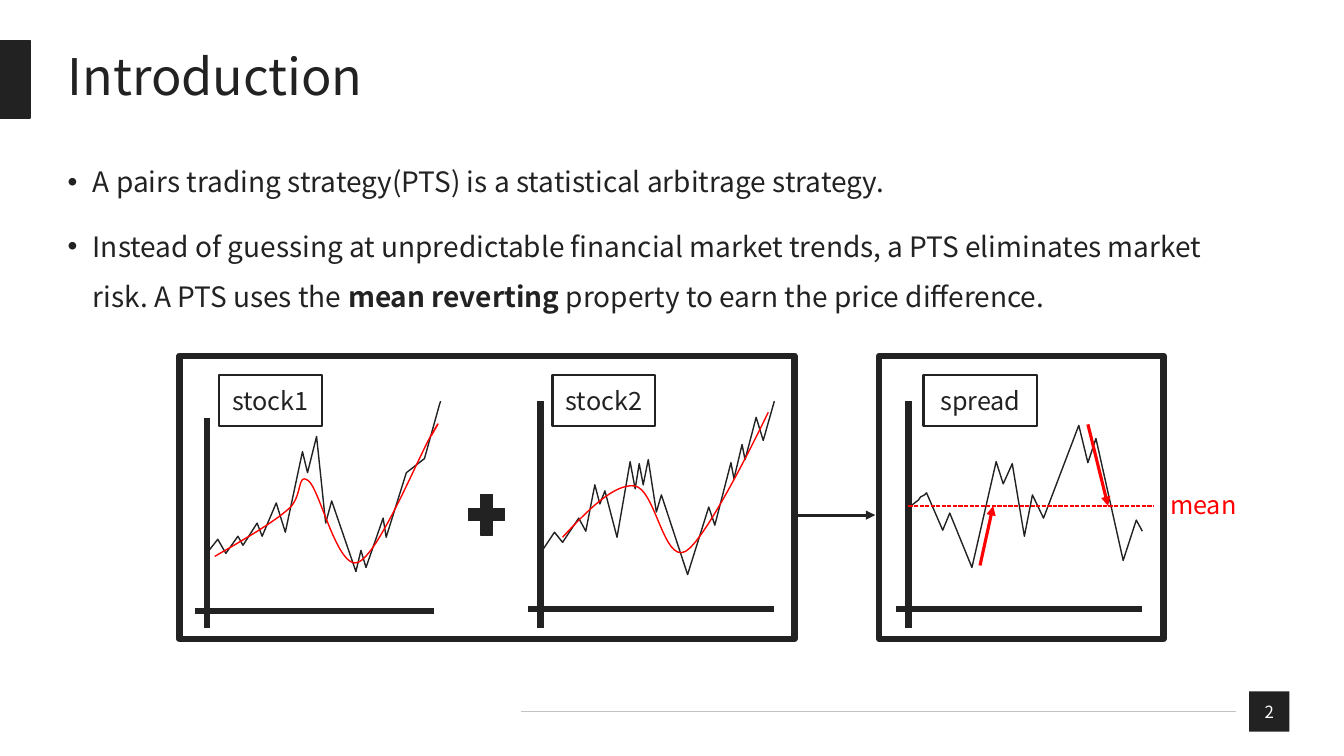
from dataclasses import dataclass

from lxml.etree import SubElement
from pptx import Presentation
from pptx.dml.color import RGBColor
from pptx.enum.dml import MSO_LINE
from pptx.enum.shapes import MSO_CONNECTOR, MSO_SHAPE as Preset
from pptx.enum.text import MSO_ANCHOR as Anchor, MSO_AUTO_SIZE as AutoSize, PP_ALIGN as Align
from pptx.oxml.ns import qn
from pptx.util import Inches, Pt

Point = tuple[int, int]
Box = tuple[int, int, int, int]  # left, top, columns wide, rows high

CELL = Inches(0.01)  # side of one grid cell: 1333 columns by 750 rows
FONT = "Noto Sans CJK TC"
INK, RED, RULE, WHITE = "222222", "FF0000", "C1C2C2", "FFFFFF"
AXIS_WIDTH, CURVE_WIDTH, ARROW_WIDTH = 4.5, 1, 2.25

BULLETS = [
    [("A pairs trading strategy(PTS) is a statistical arbitrage strategy.", False)],
    [("Instead of guessing at unpredictable financial market trends, "
      "a PTS eliminates market risk. A PTS uses the ", False),
     ("mean reverting ", True),
     ("property to earn the price difference.", False)],
]


@dataclass
class Panel:
    label: str
    label_left: int
    label_width: int
    axis_x: int
    axis_top: int
    axis_y: int
    axis_right: int
    prices: list[Point]
    trend: list[Point]  # start, then two handles and an end for each Bezier piece


@dataclass
class Stroke:
    start: Point
    end: Point
    color: str
    width: float
    arrow: bool = False
    dashed: bool = False


PANELS = [
    Panel("stock1", 217, 102, 205, 415, 606, 430,
          [(205, 549), (216, 535), (224, 549), (236, 532), (241, 541), (255, 519),
           (260, 532), (274, 499), (283, 528), (300, 448), (305, 469), (314, 433),
           (323, 519), (329, 497), (353, 567), (358, 546), (363, 563), (380, 514),
           (383, 533), (403, 469), (421, 455), (436, 401), (437, 398)],
          [(213, 552), (241, 536), (270, 519), (285, 506), (301, 494), (294, 468),
           (306, 477), (317, 485), (335, 566), (355, 558), (375, 551), (415, 454),
           (427, 433), (439, 412), (434, 422), (428, 432)]),
    Panel("stock2", 548, 102, 536, 398, 604, 768,
          [(536, 549), (550, 528), (558, 538), (574, 514), (581, 527), (590, 481),
           (595, 500), (600, 487), (612, 533), (625, 458), (630, 485), (634, 460),
           (638, 481), (643, 456), (651, 508), (656, 491), (682, 570), (703, 503),
           (709, 521), (725, 459), (728, 475), (736, 441), (739, 456), (750, 414),
           (757, 437), (768, 398)],
          [(558, 533), (583, 506), (609, 480), (629, 482), (650, 484), (658, 559),
           (680, 547), (702, 535), (762, 409), (762, 409)]),
    Panel("spread", 916, 113, 901, 398, 604, 1133,
          [(902, 503), (911, 496), (913, 493), (917, 491), (919, 489), (935, 526),
           (942, 509), (964, 563), (988, 458), (995, 480), (1004, 460), (1016, 532),
           (1024, 491), (1035, 514), (1070, 422), (1079, 459), (1087, 435),
           (1114, 556), (1127, 516), (1133, 527)],
          []),
]
STROKES = [
    Stroke((517, 706), (1226, 706), RULE, 0.75),
    Stroke((785, 511), (868, 511), INK, ARROW_WIDTH, arrow=True),
    Stroke((972, 561), (985, 502), RED, ARROW_WIDTH, arrow=True),
    Stroke((1079, 421), (1099, 502), RED, ARROW_WIDTH, arrow=True),
    Stroke((901, 502), (1144, 502), RED, 1, dashed=True),
]
FRAMES: list[Box] = [(178, 353, 610, 281), (872, 353, 282, 281)]


def rgb(color: str) -> RGBColor:
    return RGBColor.from_string(color)


def cells(*counts: float) -> list[int]:
    return [round(count * CELL) for count in counts]


def format_font(font, size: float, color: str) -> None:
    font.name, font.size = FONT, Pt(size)
    font.color.rgb = rgb(color)


def format_line(line, color: str, width: float) -> None:
    line.color.rgb, line.width = rgb(color), Pt(width)


def place(placeholder, box: Box, anchor: Anchor) -> None:
    placeholder.left, placeholder.top, placeholder.width, placeholder.height = cells(*box)
    frame = placeholder.text_frame
    frame.word_wrap, frame.auto_size, frame.vertical_anchor = True, AutoSize.NONE, anchor


def write_title(title) -> None:
    place(title, (57, 40, 1201, 77), Anchor.MIDDLE)
    title.text_frame.text = "Introduction"
    heading = title.text_frame.paragraphs[0]
    heading.alignment, heading.line_spacing = Align.LEFT, 0.9
    format_font(heading.runs[0].font, 36, INK)


def write_bullets(body) -> None:
    place(body, (57, 142, 1201, 528), Anchor.TOP)
    for index, pieces in enumerate(BULLETS):
        frame = body.text_frame
        item = frame.add_paragraph() if index else frame.paragraphs[0]
        properties = item._p.get_or_add_pPr()
        properties.set("marL", str(Inches(0.25)))
        properties.set("indent", str(-Inches(0.25)))
        SubElement(properties, qn("a:buFont")).set("typeface", "Arial")
        SubElement(properties, qn("a:buChar")).set("char", "•")
        item.line_spacing, item.space_before = 1.5, Pt(10 if index else 0)
        for words, bold in pieces:
            run = item.add_run()
            run.text = words
            format_font(run.font, 20, INK)
            run.font.bold = bold


def add_block(slide, preset: Preset, box: Box, fill: str = "", width: float = 0,
              words: str = "", size: float = 18, color: str = INK) -> None:
    """Draw a preset shape; an empty fill or a zero width leaves that part out."""
    block = slide.shapes.add_shape(preset, *cells(*box))
    block.shadow.inherit = False
    if fill:
        block.fill.solid()
        block.fill.fore_color.rgb = rgb(fill)
    else:
        block.fill.background()
    if width:
        format_line(block.line, INK, width)
    else:
        block.line.fill.background()
    if words:
        frame = block.text_frame
        frame.text, frame.vertical_anchor = words, Anchor.MIDDLE
        frame.word_wrap = False
        frame.paragraphs[0].alignment = Align.CENTER
        format_font(frame.paragraphs[0].runs[0].font, size, color)


def add_stroke(slide, stroke: Stroke) -> None:
    connector = slide.shapes.add_connector(
        MSO_CONNECTOR.STRAIGHT, *cells(*stroke.start, *stroke.end))
    format_line(connector.line, stroke.color, stroke.width)
    if stroke.dashed:
        connector.line.dash_style = MSO_LINE.SQUARE_DOT
    if stroke.arrow:
        SubElement(connector.line._get_or_add_ln(), qn("a:tailEnd")).set("type", "triangle")
    SubElement(connector._element.spPr, qn("a:effectLst"))


def flatten(knots: list[Point], steps: int = 16) -> list[tuple[float, ...]]:
    """Turn a chain of cubic Bezier pieces into short straight steps."""
    points: list[tuple[float, ...]] = [knots[0]]
    for first in range(0, len(knots) - 1, 3):
        for step in range(1, steps + 1):
            t = step / steps
            weights = ((1 - t) ** 3, 3 * t * (1 - t) ** 2, 3 * t * t * (1 - t), t ** 3)
            points.append(tuple(
                sum(weight * knot[axis] for weight, knot in zip(weights, knots[first:first + 4]))
                for axis in (0, 1)))
    return points


def add_curve(slide, points: list, color: str) -> None:
    start, *rest = [cells(*point) for point in points]
    builder = slide.shapes.build_freeform(*start)
    builder.add_line_segments(rest, close=False)
    curve = builder.convert_to_shape()
    curve.shadow.inherit = False
    curve.fill.background()
    format_line(curve.line, color, CURVE_WIDTH)


def add_panel(slide, panel: Panel) -> None:
    x, y = panel.axis_x, panel.axis_y
    add_stroke(slide, Stroke((x, panel.axis_top), (x, 623), INK, AXIS_WIDTH))
    add_stroke(slide, Stroke((x - 12, y), (panel.axis_right, y), INK, AXIS_WIDTH))
    add_curve(slide, panel.prices, INK)
    if panel.trend:
        add_curve(slide, flatten(panel.trend), RED)
    add_block(slide, Preset.RECTANGLE, (panel.label_left, 372, panel.label_width, 51),
              width=1.5, words=panel.label)


def add_mean_label(slide) -> None:
    frame = slide.shapes.add_textbox(*cells(1150, 481, 87, 40)).text_frame
    frame.text, frame.word_wrap, frame.auto_size = "mean", False, AutoSize.SHAPE_TO_FIT_TEXT
    frame.paragraphs[0].alignment = Align.CENTER
    format_font(frame.paragraphs[0].runs[0].font, 18, RED)


def main() -> None:
    deck = Presentation()
    deck.slide_width, deck.slide_height = Inches(13.33), Inches(7.5)
    slide = deck.slides.add_slide(deck.slide_layouts[1])
    write_title(slide.shapes.title)
    write_bullets(slide.placeholders[1])
    add_block(slide, Preset.RECTANGLE, (0, 40, 30, 77), INK, 1)
    add_block(slide, Preset.RECTANGLE, (1239, 686, 40, 40), INK, words="2", size=12, color=WHITE)
    for panel in PANELS:
        add_panel(slide, panel)
    for stroke in STROKES:
        add_stroke(slide, stroke)
    add_block(slide, Preset.MATH_PLUS, (458, 483, 49, 55), INK, 1)
    for frame in FRAMES:
        add_block(slide, Preset.RECTANGLE, frame, width=AXIS_WIDTH)
    add_mean_label(slide)
    deck.save("out.pptx")


if __name__ == "__main__":
    main()
